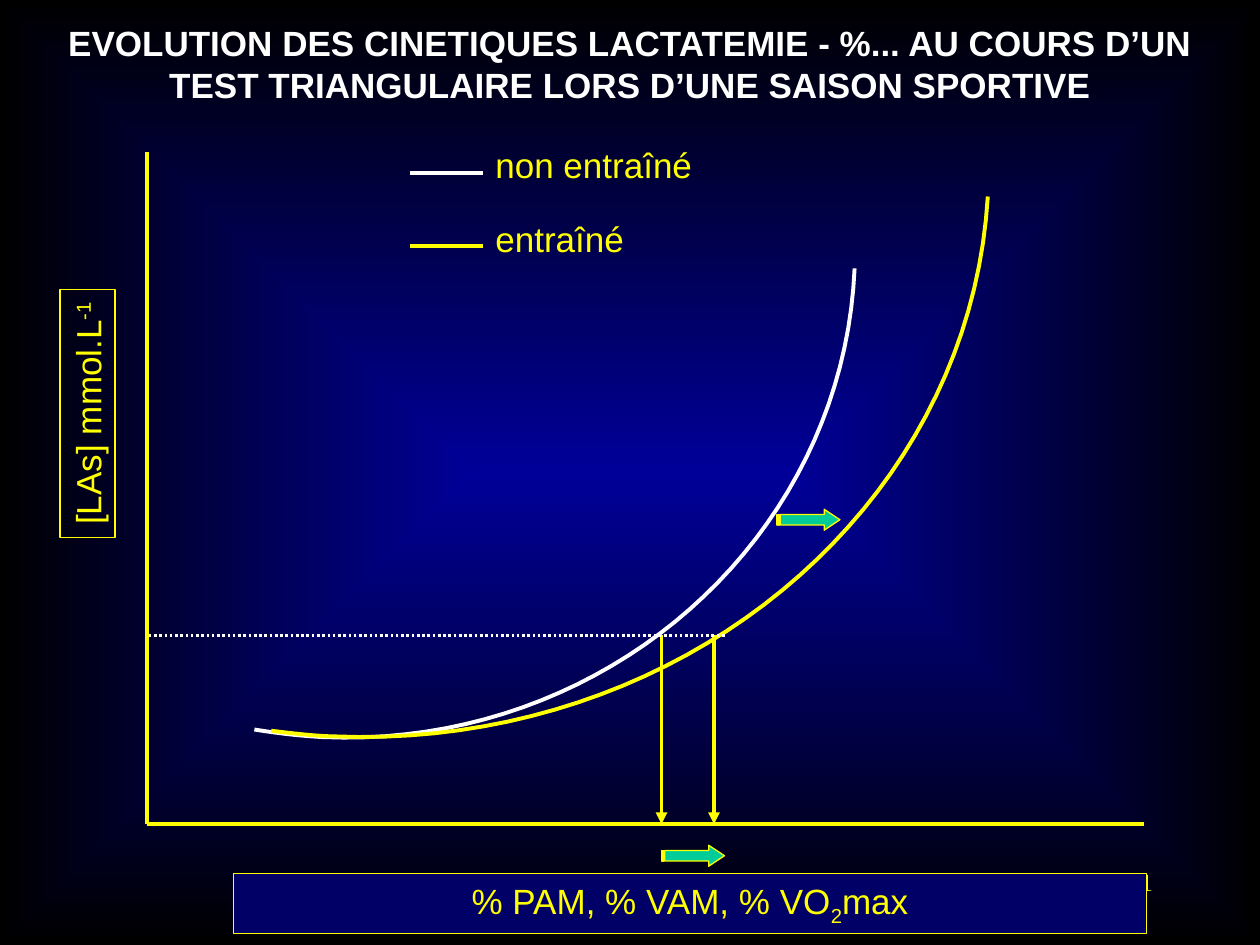
from pptx import Presentation
from pptx.dml.color import RGBColor
from pptx.enum.dml import MSO_LINE
from pptx.enum.shapes import MSO_CONNECTOR, MSO_SHAPE
from pptx.enum.text import MSO_AUTO_SIZE, PP_ALIGN
from pptx.oxml.ns import qn
from pptx.util import Pt
from lxml.etree import SubElement

COLORS = {
    "center": "000099",
    "edge": "000000",
    "panel": "000066",
    "yellow": "FFFF00",
    "white": "FFFFFF",
    "green": "00CC99",
}


def color(name):
    return RGBColor.from_string(COLORS[name])


def write_text(shape, lines, size=20, font="Arial", ink="yellow", bold=False,
               align=PP_ALIGN.LEFT, wrap=False, grow=True):
    frame = shape.text_frame
    frame.word_wrap = wrap
    frame.auto_size = MSO_AUTO_SIZE.SHAPE_TO_FIT_TEXT if grow else MSO_AUTO_SIZE.NONE
    for index, pieces in enumerate(lines):
        paragraph = frame.add_paragraph() if index else frame.paragraphs[0]
        paragraph.alignment = align
        for text, baseline in pieces:
            run = paragraph.add_run()
            run.text = text
            run.font.size = Pt(size)
            run.font.name = font
            run.font.bold = bold
            run.font.color.rgb = color(ink)
            if baseline:
                run.font._element.set("baseline", str(baseline * 1000))


def bezier(start, *segments, steps=40):
    points = [start]
    for first, second, end in segments:
        origin = points[-1]
        for step in range(1, steps + 1):
            t = step / steps
            weights = ((1 - t) ** 3, 3 * t * (1 - t) ** 2, 3 * t * t * (1 - t), t ** 3)
            corners = (origin, first, second, end)
            points.append(tuple(sum(w * corner[axis] for w, corner in zip(weights, corners))
                                for axis in (0, 1)))
    return points


class ChartSlide:
    """Draws styled elements on one slide, with lengths in points."""

    def __init__(self, presentation):
        self.slide = presentation.slides.add_slide(presentation.slide_layouts[6])
        self.shapes = self.slide.shapes
        self.line_width = 2.25
        self.border_width = 0.75

    def background(self, center, edge):
        fill = self.slide.background.fill
        fill.gradient()
        for stop, name in zip(fill.gradient_stops, (center, edge)):
            stop.color.rgb = color(name)
        gradient = self.slide.element.find(".//" + qn("a:gradFill"))
        gradient.remove(gradient.find(qn("a:lin")))
        rectangle = SubElement(gradient, qn("a:path"), path="rect")
        SubElement(rectangle, qn("a:fillToRect"), l="50000", t="50000", r="50000", b="50000")

    def line(self, x1, y1, x2, y2, ink="yellow", width=None, dotted=False, arrow=False):
        connector = self.shapes.add_connector(
            MSO_CONNECTOR.STRAIGHT, Pt(x1), Pt(y1), Pt(x2), Pt(y2))
        connector.line.color.rgb = color(ink)
        connector.line.width = Pt(width or self.line_width)
        if dotted:
            connector.line.dash_style = MSO_LINE.ROUND_DOT
        if arrow:
            SubElement(connector.line._get_or_add_ln(), qn("a:tailEnd"), type="triangle")
        SubElement(connector._element.spPr, qn("a:effectLst"))

    def curve(self, points, ink):
        builder = self.shapes.build_freeform(Pt(points[0][0]), Pt(points[0][1]))
        builder.add_line_segments([(Pt(x), Pt(y)) for x, y in points[1:]], close=False)
        self.finish(builder.convert_to_shape(), None, ink, self.line_width)

    def finish(self, shape, fill, ink, width):
        shape.shadow.inherit = False
        if fill:
            shape.fill.solid()
            shape.fill.fore_color.rgb = color(fill)
        else:
            shape.fill.background()
        shape.line.color.rgb = color(ink)
        shape.line.width = Pt(width)

    def shift_arrow(self, left, top):
        shape = self.shapes.add_shape(
            MSO_SHAPE.STRIPED_RIGHT_ARROW, Pt(left), Pt(top), Pt(36), Pt(12))
        shape.adjustments[1] = 0.75
        self.finish(shape, "green", "yellow", self.border_width)

    def text(self, left, top, width, height, *lines, **style):
        box = self.shapes.add_textbox(Pt(left), Pt(top), Pt(width), Pt(height))
        write_text(box, lines, **style)

    def label(self, left, top, width, height, *pieces, fill=None, rotation=0, wrap=True):
        shape = self.shapes.add_shape(
            MSO_SHAPE.RECTANGLE, Pt(left), Pt(top), Pt(width), Pt(height))
        shape.rotation = rotation
        self.finish(shape, fill, "yellow", self.border_width)
        write_text(shape, [pieces], align=PP_ALIGN.CENTER, wrap=wrap)


def main():
    presentation = Presentation()
    presentation.slide_width, presentation.slide_height = Pt(720), Pt(540)
    chart = ChartSlide(presentation)
    chart.background("center", "edge")
    chart.text(516, 492, 150, 36, [("11", 0)], size=14, font="Times New Roman",
               align=PP_ALIGN.RIGHT, wrap=True, grow=False)

    axis_x, axis_y, threshold_y = 84, 471, 363
    chart.line(axis_x, 87, axis_x, axis_y)
    chart.line(axis_x, axis_y, 654, axis_y)
    chart.curve(bezier((488.4, 153.4),
                       ((481.7, 308.2), (345.6, 428.4), (184.3, 421.2)),
                       ((171.4, 420.5), (158.4, 419), (145.4, 416.9))), "white")
    chart.curve(bezier((564.5, 112.3),
                       ((553.7, 292.3), (387.4, 429.1), (190.1, 420.8)),
                       ((178.6, 420.5), (167, 419), (155, 417.6))), "yellow")
    for threshold_x in (378, 408):
        chart.line(threshold_x, threshold_y, threshold_x, axis_y, arrow=True)
    chart.line(414, threshold_y, axis_x, threshold_y, "white", width=1.5, dotted=True)
    chart.shift_arrow(444, 291)
    chart.label(-21, 220.5, 142, 31.5, ("[LAs] mmol.L", 0), ("-1", 30),
                rotation=270, wrap=False)
    chart.label(133.5, 499, 521.5, 34.5, ("% PAM, % VAM, % VO", 0), ("2", -25), ("max", 0),
                fill="panel")
    chart.shift_arrow(378, 483)

    legend = (("non entraîné", "white", 78.5, 127), ("entraîné", "yellow", 120.5, 88))
    for name, ink, top, width in legend:
        chart.line(234, top + 20.3, 276, top + 20.3, ink)
        chart.text(276, top, width, 31.5, [(name, 0)])

    chart.text(27.5, 8.5, 665, 55.5,
               [("EVOLUTION DES CINETIQUES LACTATEMIE - %... AU COURS D’UN", 0)],
               [("TEST TRIANGULAIRE LORS D’UNE SAISON SPORTIVE", 0)],
               ink="white", bold=True, align=PP_ALIGN.CENTER)
    presentation.save("out.pptx")


if __name__ == "__main__":
    main()
